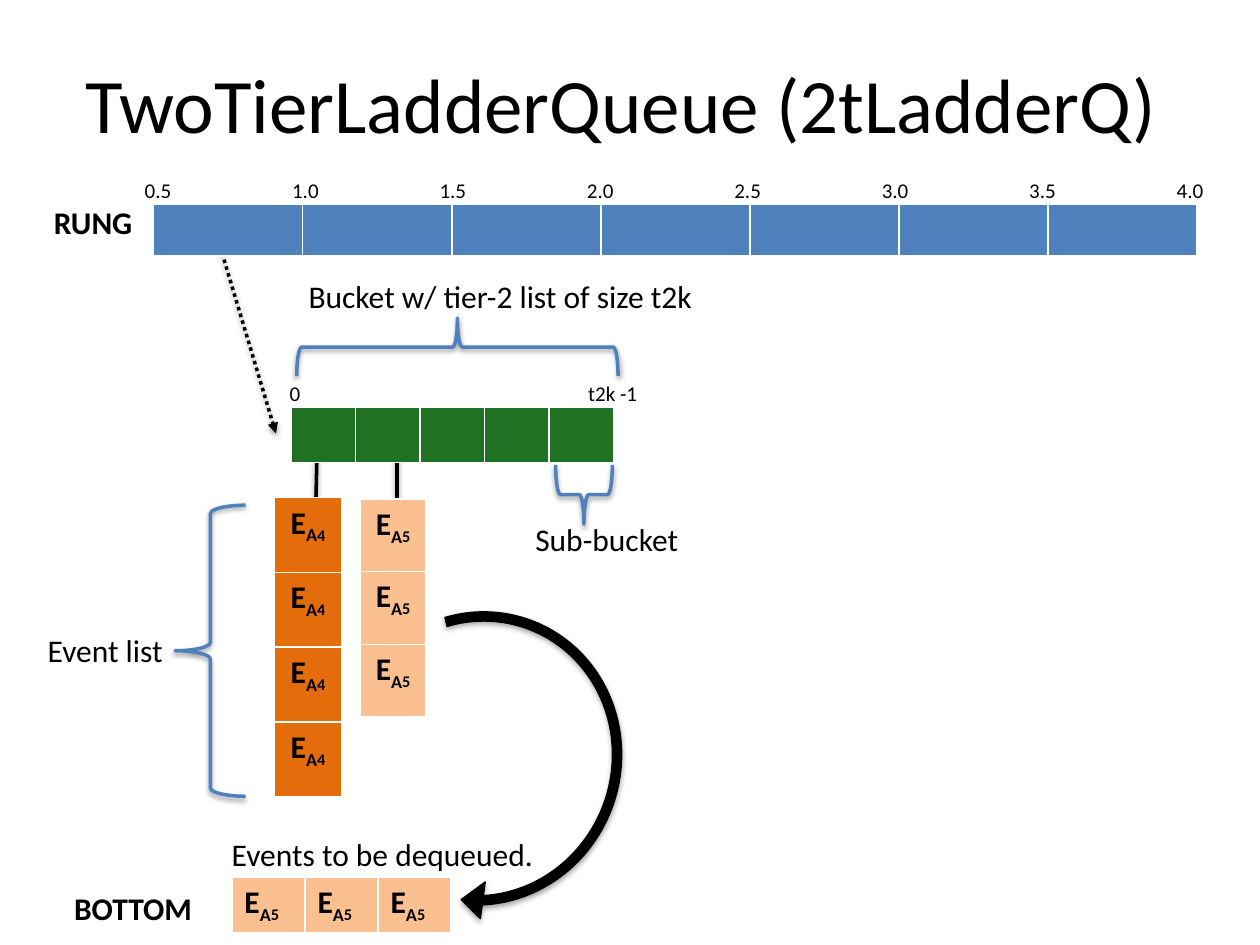
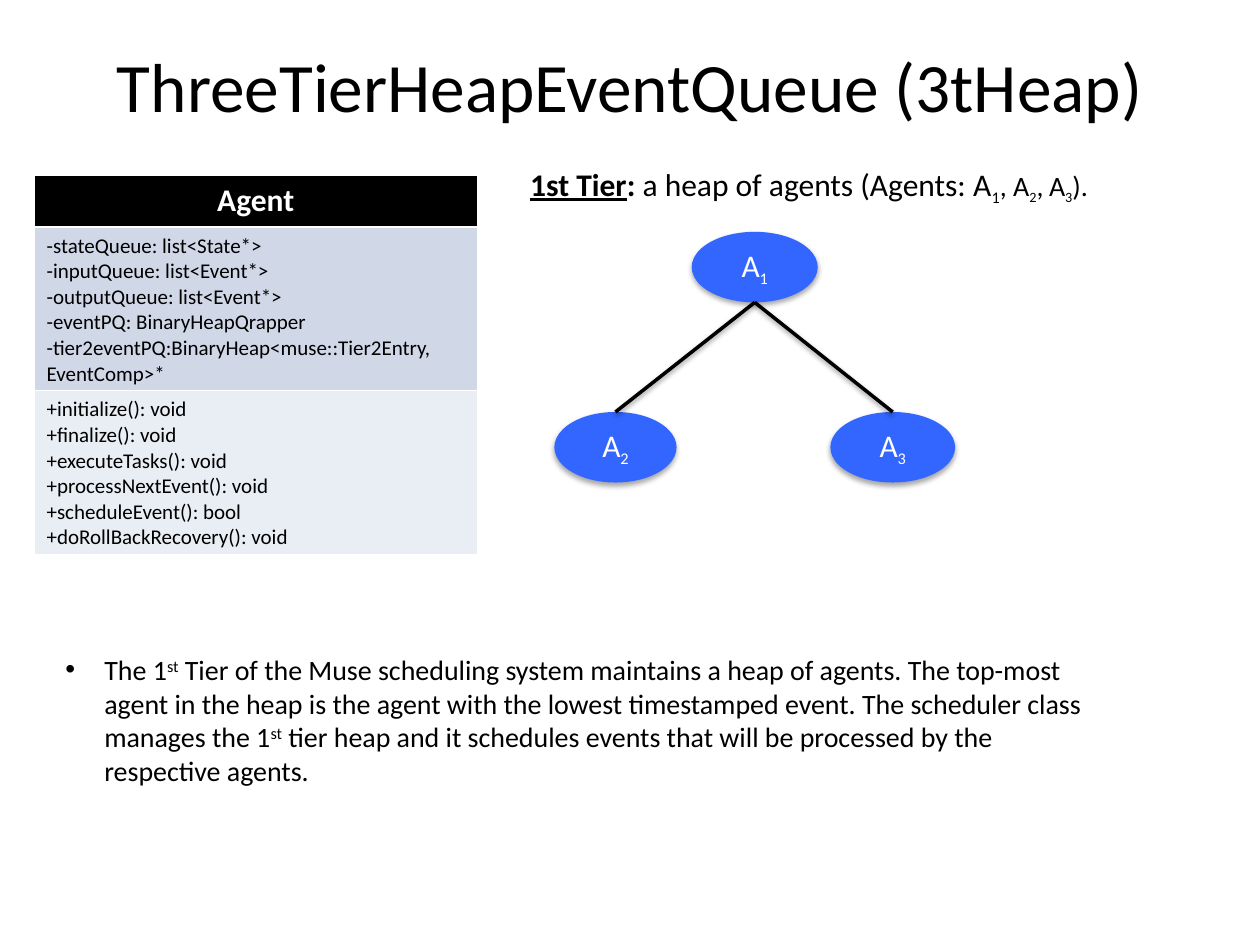
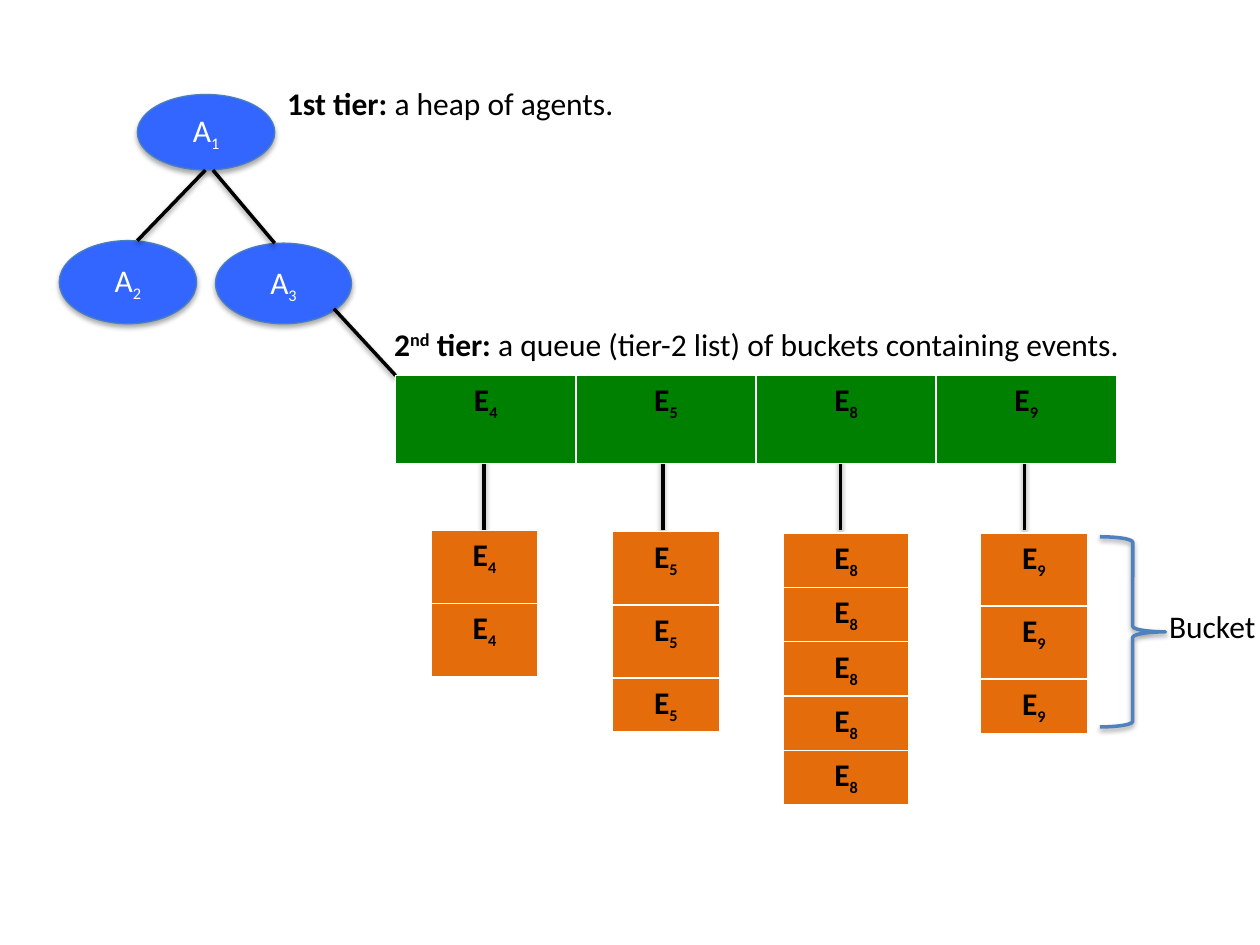
from dataclasses import dataclass
from typing import Any

from lxml import etree
from pptx import Presentation, util as u
from pptx.dml.color import RGBColor
from pptx.enum import shapes, text
from pptx.oxml.ns import qn

WIDTH, HEIGHT = u.Inches(10), u.Inches(7.5)
COLUMNS, ROWS = 100, 75
FONT = "Calibri"
BLACK, WHITE, BLUE = "000000", "FFFFFF", "4F81BD"
AGENT_BLUE, AGENT_EDGE = "3366FF", "4B7EBC"
ORANGE, PEACH = "E46C0A", "FAC090"
TIER_GREEN, QUEUE_GREEN = "217124", "008000"
CENTER, LEFT = text.PP_ALIGN.CENTER, text.PP_ALIGN.LEFT
LINE_SHADOW = {"alpha": 38, "blur": 3.1, "distance": 1.6}
SHAPE_SHADOW = {"alpha": 35, "blur": 3.1, "distance": 1.8}


@dataclass
class Region:
    """A part of a slide whose contents are placed from its own corner, in grid cells."""
    slide: Any
    left: float = 0
    top: float = 0

    def point(self, x, y):
        """Turn a grid point into slide lengths."""
        return (round((self.left + x) * WIDTH / COLUMNS),
                round((self.top + y) * HEIGHT / ROWS))

    def box(self, x, y, w, h):
        """Turn a grid box into slide lengths."""
        return *self.point(x, y), round(w * WIDTH / COLUMNS), round(h * HEIGHT / ROWS)


def color(value):
    """Read a hex colour."""
    return RGBColor.from_string(value)


def assign(target, **values):
    """Set several attributes of one object."""
    for name, value in values.items():
        setattr(target, name, value)


def run(content, size=18, base=0, **font):
    """Describe a stretch of text; base raises or lowers it in percent."""
    return content, base, {"size": u.Pt(size), "name": FONT, **font}


def event(*subscripts):
    """Describe an event symbol with its subscripts."""
    lowered = [run(s, 18 if s.isalpha() else 16, -25, bold=True) for s in subscripts]
    return [run("E", bold=True), *lowered]


def write(frame, paragraphs, align=LEFT, ink=BLACK):
    """Fill a text frame with paragraphs of runs."""
    for number, runs in enumerate(paragraphs):
        paragraph = frame.add_paragraph() if number else frame.paragraphs[0]
        paragraph.alignment = align
        for content, base, font in runs:
            piece = paragraph.add_run()
            piece.text = content
            assign(piece.font, **font)
            piece.font.color.rgb = color(ink)
            if base:
                piece._r.get_or_add_rPr().set("baseline", str(base * 1000))


def label(region, box, *runs, align=LEFT, anchor=text.MSO_ANCHOR.TOP):
    """Place one paragraph of text."""
    frame = region.slide.shapes.add_textbox(*region.box(*box)).text_frame
    assign(frame, word_wrap=True, vertical_anchor=anchor)
    write(frame, [runs], align)
    return frame


def title(slide, content, size, height):
    """Place the slide title."""
    label(Region(slide), (5, 3, 90, height), run(content, size),
          align=CENTER, anchor=text.MSO_ANCHOR.MIDDLE)


def cast_shadow(item, alpha, blur, distance):
    """Give a shape or connector a soft black shadow straight below it."""
    properties = item._element.spPr
    for old in properties.findall(qn("a:effectLst")):
        properties.remove(old)
    effects = etree.SubElement(properties, qn("a:effectLst"))
    shadow = etree.SubElement(effects, qn("a:outerShdw"), blurRad=str(u.Pt(blur)),
                              dist=str(u.Pt(distance)), dir="5400000", rotWithShape="0")
    ink = etree.SubElement(shadow, qn("a:srgbClr"), val=BLACK)
    etree.SubElement(ink, qn("a:alpha"), val=str(alpha * 1000))


def link(region, start, end):
    """Draw a black line between two grid points."""
    line = region.slide.shapes.add_connector(
        shapes.MSO_CONNECTOR.STRAIGHT, *region.point(*start), *region.point(*end))
    line.line.color.rgb = color(BLACK)
    line.line.width = u.Pt(2)
    cast_shadow(line, **LINE_SHADOW)
    return line


def preset(region, kind, box, fill=None, edge=None, width=0.75, shadow=SHAPE_SHADOW, rotation=0):
    """Place a preset shape."""
    form = region.slide.shapes.add_shape(kind, *region.box(*box))
    form.shadow.inherit = False
    form.rotation = rotation
    for part, ink in ((form.fill, fill), (form.line.fill, edge)):
        if ink:
            part.solid()
            part.fore_color.rgb = color(ink)
        else:
            part.background()
    if edge:
        form.line.width = u.Pt(width)
    cast_shadow(form, **shadow)
    return form


def brace(region, box, kind=shapes.MSO_SHAPE.LEFT_BRACE, rotation=0):
    """Draw a blue brace."""
    return preset(region, kind, box, None, BLUE, 2, LINE_SHADOW, rotation)


def grid(region, corner, widths, heights, fills, contents=None, align=CENTER, inks=None):
    """Place a table with one fill per row; contents hold paragraphs per cell."""
    box = region.box(*corner, sum(widths), sum(heights))
    table = region.slide.shapes.add_table(len(heights), len(widths), *box).table
    for column, width in zip(table.columns, widths):
        column.width = region.box(0, 0, width, 0)[2]
    for r, height in enumerate(heights):
        table.rows[r].height = region.box(0, 0, 0, height)[3]
        for c in range(len(widths)):
            cell = table.cell(r, c)
            cell.fill.solid()
            cell.fill.fore_color.rgb = color(fills[r])
            if contents:
                write(cell.text_frame, contents[r][c], CENTER if r == 0 and inks else align,
                      inks[r] if inks else BLACK)


def stack(region, corner, width, heights, fill, symbol):
    """Place a column of equal events."""
    count = len(heights)
    grid(region, corner, [width], heights, [fill] * count, [[[symbol]]] * count)


def heap(region, nodes, edges, edge=None, joined=False):
    """Draw agents A1 to A3 as ellipses, and the lines from the first to the others."""
    agents = []
    for number, box in enumerate(nodes, 1):
        agent = preset(region, shapes.MSO_SHAPE.OVAL, box, AGENT_BLUE, edge)
        assign(agent.text_frame, vertical_anchor=text.MSO_ANCHOR.MIDDLE,
               margin_top=0, margin_bottom=0)
        write(agent.text_frame, [[run("A"), run(str(number), 16, -25)]], CENTER, WHITE)
        agents.append(agent)
    for child, (start, end) in zip(agents[1:], edges):
        line = link(region, start, end)
        if joined:
            line.end_connect(child, 0)


def rung(region):
    """Draw the rung, its scale and its name."""
    grid(region, (8.9, 2.7), [11.83] * 7, [4.1], [BLUE])
    label(region, (0, 2.1, 9.1, 4), run("RUNG", bold=True))
    for tick in range(8):
        label(region, (7.2 + 11.7 * tick, 0.1, 6.9, 3), run(f"{0.5 + tick / 2:.1f}", 12))


def bucket(region):
    """Draw the tier-2 list with its braces and captions."""
    grid(region, (1.1, 10.8), [5.12] * 5, [4.4], [TIER_GREEN])
    label(region, (0, 8.2, 6.6, 3), run("0", 12))
    label(region, (23.7, 8.2, 7, 3), run("t2k -1", 12))
    label(region, (1.5, 0, 33.1, 4), run("Bucket w/ tier-2 list of size t2k"))
    brace(region, (12, -6.7, 4.6, 25.5), rotation=90)
    brace(region, (22, 15.5, 4.7, 4.5), rotation=270)
    label(region, (19.5, 19.3, 15, 4), run("Sub-bucket"))


def event_lists(region):
    """Draw the two event lists below the tier-2 list."""
    stack(region, (25.8, 0.1), 5.2, [5.77] * 3, PEACH, event("A", "5"))
    stack(region, (19, 0), 5.3, [5.93] * 4, ORANGE, event("A", "4"))
    brace(region, (11.1, 0.6, 5.6, 23.1)).adjustments[0] = 0.12
    label(region, (0, 10.1, 12.6, 4), run("Event list"))


def bottom(region):
    """Draw the events to be dequeued and the arrow that leads to them."""
    grid(region, (13.5, 3.8), [5.8] * 3, [4.3], [PEACH], [[[event("A", "5")]] * 3], LEFT)
    label(region, (0, 4.3, 12.4, 4), run("BOTTOM", bold=True))
    arrow = preset(region, shapes.MSO_SHAPE.CIRCULAR_ARROW, (20.4, -17.9, 25.6, 24.6),
                   BLACK, BLACK, rotation=289.3)
    for position, value in enumerate((0.03, 5.26, 203.72, 88.03, 0.06)):
        arrow.adjustments[position] = value
    for flip in ("flipH", "flipV"):
        arrow._element.spPr.xfrm.set(flip, "1")
    label(region, (12.5, 0, 28, 4), run("Events to be dequeued."))


def ladder_slide(slide):
    """Build the ladder queue slide."""
    whole = Region(slide)
    pointer = link(whole, (17.3, 19), (21.9, 34.4))
    pointer.line.dash_style = 3
    stroke = pointer.line._get_or_add_ln()
    stroke.find(qn("a:prstDash")).set("val", "sysDot")
    etree.SubElement(stroke, qn("a:tailEnd"), type="triangle")
    link(whole, (25.2, 34.4), (25, 42.7))
    link(whole, (31.5, 35.7), (31.5, 42.2))
    event_lists(Region(slide, 2.8, 39.5))
    rung(Region(slide, 3.3, 13.5))
    bucket(Region(slide, 22, 21.5))
    bottom(Region(slide, 4.9, 65.8))
    title(slide, "TwoTierLadderQueue (2tLadderQ) ", 44, 10.3)


def agent_class(region):
    """Draw the class table of an agent."""
    fields = ["-stateQueue: list<State*>", "-inputQueue: list<Event*>",
              "-outputQueue: list<Event*>", "-eventPQ: BinaryHeapQrapper",
              "-tier2eventPQ:BinaryHeap<muse::Tier2Entry, EventComp>*"]
    methods = ["+initialize(): void", "+finalize(): void", "+executeTasks(): void",
               "+processNextEvent(): void", "+scheduleEvent(): bool",
               "+doRollBackRecovery(): void"]
    members = [[[[run(line, 12)] for line in lines]] for lines in (fields, methods)]
    grid(region, (0, 0), [35.2], [4.1, 13, 13], [BLACK, "D0D8E8", "E9EDF4"],
         [[[[run("Agent", bold=True)]]], *members], LEFT, [WHITE, BLACK, BLACK])


def first_tier(region):
    """Draw the heap of agents under its caption."""
    label(region, (0, 0, 52.4, 4), run("1st Tier", bold=True, underline=True),
          run(":", bold=True), run(" a heap of agents (Agents: A"), run("1", 16, -25),
          run(", A", 16), run("2", 14, -25), run(",", 16), run(" ", 14), run("A", 16),
          run("3", 14, -25), run(").", 16))
    heap(region, [(13.8, 5.8, 10, 5.6), (2.9, 20.1, 9.7, 5.6), (24.8, 20.1, 9.9, 5.6)],
         [((18.8, 11.4), (7.8, 20.1)), ((18.8, 11.4), (29.7, 20.1))], joined=True)


def explanation(region):
    """Place the bulleted explanation of the first tier."""
    frame = label(
        region, (0, 0, 83.5, 11.8), run("The 1", 16), run("st", 16, 30),
        run(" Tier of the Muse scheduling system maintains a heap of agents. The top-most "
            "agent in the heap is the agent with the lowest timestamped event. The scheduler "
            "class manages the 1", 16), run("st", 16, 30),
        run(" tier heap and it schedules events that will be processed by the "
            "respective agents.", 16))
    properties = frame.paragraphs[0]._p.get_or_add_pPr()
    indent = u.Inches(0.31)
    properties.set("marL", str(indent))
    properties.set("indent", str(-indent))
    etree.SubElement(properties, qn("a:buFont"), typeface="Arial")
    etree.SubElement(properties, qn("a:buChar"), char="•")


def heap_slide(slide):
    """Build the three tier heap slide."""
    title(slide, "ThreeTierHeapEventQueue (3tHeap)", 39.6, 7.5)
    first_tier(Region(slide, 41.1, 12.6))
    agent_class(Region(slide, 2.7, 13.9))
    explanation(Region(slide, 4.2, 51.3))


def agents(region):
    """Draw the small heap of agents and the line to the second tier."""
    heap(region, [(6.2, 1.3, 10.9, 6), (0, 12.9, 10.9, 6.6), (12.4, 13.1, 10.8, 6.4)],
         [((11.6, 7.3), (6.2, 12.9)), ((12.2, 7.3), (17.1, 13.1))], AGENT_EDGE)
    link(region, (21.8, 18.3), (26.7, 23.6))
    label(region, (17.1, 0, 30, 4), run("1st tier:", bold=True), run(" a heap of agents."))


def second_tier(region):
    """Draw the queue of buckets with the events of each."""
    columns = [("4", 2.8, 16.8, 8.5, [5.8] * 2, 7), ("5", 17.2, 16.9, 8.5, [5.8, 5.8, 4.2], 21.2),
               ("8", 30.8, 17, 9.9, [4.3] * 5, 35.3), ("9", 46.4, 17, 8.5, [5.8, 5.8, 4.2], 49.9)]
    for *_, x in columns:
        link(region, (x, 10.4), (x, 16.8))
    grid(region, (0, 4.5), [14.3] * 4, [7], [QUEUE_GREEN],
         [[[event(number)] for number, *_ in columns]])
    for number, x, y, width, heights, _ in columns:
        stack(region, (x, y), width, heights, ORANGE, event(number))
    label(region, (-1.1, 0, 71.1, 4), run("2", bold=True), run("nd", 18, 30, bold=True),
          run(" tier:", bold=True), run(" a queue (tier-2 list) of buckets containing events."))
    brace(region, (55.9, 17.3, 5.2, 15.1), shapes.MSO_SHAPE.RIGHT_BRACE)
    label(region, (60.4, 22.4, 11.3, 4), run("Bucket"))


def tiers_slide(slide):
    """Build the slide that joins both tiers."""
    agents(Region(slide, 4.7, 6.2))
    second_tier(Region(slide, 31.4, 25.3))


def main():
    """Build and save the slides."""
    deck = Presentation()
    assign(deck, slide_width=WIDTH, slide_height=HEIGHT)
    for build in (ladder_slide, heap_slide, tiers_slide):
        build(deck.slides.add_slide(deck.slide_layouts[6]))
    deck.save("out.pptx")


if __name__ == "__main__":
    main()
